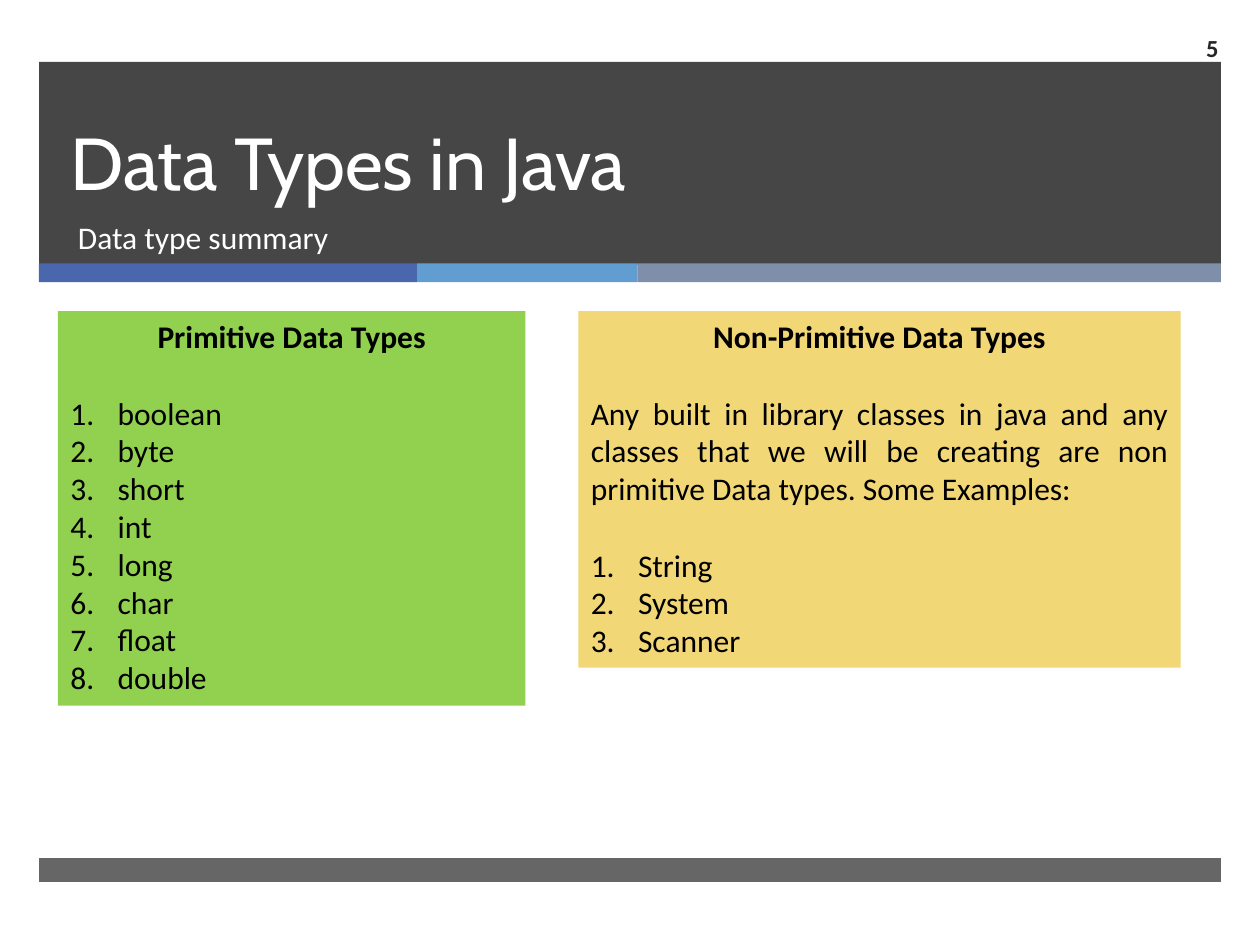
from lxml.etree import SubElement
from pptx import Presentation
from pptx.dml.color import RGBColor
from pptx.enum.shapes import MSO_SHAPE
from pptx.enum.text import MSO_ANCHOR, PP_ALIGN
from pptx.oxml.ns import qn
from pptx.util import Inches, Pt

WHITE, BLACK, DARK = "FFFFFF", "000000", "262626"
LEFT, WIDTH = 0.31, 9.38
LINE = 22  # height of one 18 pt text line, in points

# top, height, opacity in percent
DARK_BANDS = [(0.49, 1.61, 85), (6.81, 0.19, 70)]
STRIPES = [(3, "4A66AC"), (1.75, "629DD1"), (4.63, "7F8FA9")]

# text, box, style
LABELS = [
    ("Data Types in Java", (0.46, 0.49, 8.54, 1.19),
     dict(size=42, color=WHITE, font="Cabin", anchor=MSO_ANCHOR.BOTTOM, spacing=46)),
    ("Data type summary", (0.52, 1.68, 8.48, 0.53), dict(size=18, color=WHITE)),
    ("5", (9.08, 0.18, 0.69, 0.39),
     dict(size=14, color=DARK, bold=True, align=PP_ALIGN.RIGHT, anchor=MSO_ANCHOR.MIDDLE)),
]

PANELS = [
    dict(box=(0.46, 2.47, 3.71, 3.13), fill="92D050", heading="Primitive Data Types",
         intro="", align=PP_ALIGN.LEFT,
         types=["boolean", "byte", "short", "int", "long", "char", "float", "double"]),
    dict(box=(4.59, 2.47, 4.78, 2.83), fill="F2D776", heading="Non-Primitive Data Types",
         intro="Any built in library classes in java and any classes that we will be "
               "creating are non primitive Data types. Some Examples:",
         align=PP_ALIGN.JUSTIFY, types=["String", "System", "Scanner"]),
]


def rgb(color):
    return RGBColor.from_string(color)


def add_rect(slide, box, color, opacity=100):
    rect = slide.shapes.add_shape(MSO_SHAPE.RECTANGLE, *map(Inches, box))
    rect.shadow.inherit = False
    rect.fill.solid()
    rect.fill.fore_color.rgb = rgb(color)
    rect.line.fill.background()
    if opacity < 100:
        tint = rect.fill._xPr.find(qn("a:solidFill"))[0]
        SubElement(tint, qn("a:alpha"), val=str(opacity * 1000))
    return rect


def write(paragraph, text, size=18, color=BLACK, font="Calibri", bold=False,
          align=PP_ALIGN.LEFT):
    paragraph.text = text
    paragraph.alignment = align
    style = paragraph.font
    style.size, style.name, style.bold = Pt(size), font, bold
    style.color.rgb = rgb(color)


def add_label(slide, text, box, anchor=MSO_ANCHOR.TOP, spacing=None, **style):
    frame = slide.shapes.add_textbox(*map(Inches, box)).text_frame
    frame.word_wrap = True
    frame.vertical_anchor = anchor
    write(frame.paragraphs[0], text, **style)
    if spacing:
        frame.paragraphs[0].line_spacing = Pt(spacing)


def number(paragraph):
    """Make the paragraph an item of a numbered list."""
    props = paragraph._p.get_or_add_pPr()
    indent = Inches(0.375)
    props.set("marL", str(indent))
    props.set("indent", str(-indent))
    bullet = SubElement(props, qn("a:buAutoNum"), type="arabicPeriod")
    default_run = props.find(qn("a:defRPr"))
    if default_run is not None:
        default_run.addprevious(bullet)


def add_panel(slide, box, fill, heading, intro, align, types):
    frame = add_rect(slide, box, fill).text_frame
    frame.word_wrap = True
    frame.vertical_anchor = MSO_ANCHOR.TOP
    write(frame.paragraphs[0], heading, bold=True, align=PP_ALIGN.CENTER)
    if intro:
        paragraph = frame.add_paragraph()
        write(paragraph, intro, align=align)
        paragraph.space_before = Pt(LINE)
    for index, name in enumerate(types):
        item = frame.add_paragraph()
        write(item, name, align=align)
        item.space_before = Pt(0 if index else LINE)
        number(item)


def main():
    deck = Presentation()
    deck.slide_width, deck.slide_height = Inches(10), Inches(7.5)
    slide = deck.slides.add_slide(deck.slide_layouts[6])

    for top, height, opacity in DARK_BANDS:
        add_rect(slide, (LEFT, top, WIDTH, height), DARK, opacity)
    left = LEFT
    for width, color in STRIPES:
        add_rect(slide, (left, 2.09, width, 0.15), color)
        left += width
    for text, box, style in LABELS:
        add_label(slide, text, box, **style)
    for panel in PANELS:
        add_panel(slide, **panel)

    deck.save("out.pptx")


if __name__ == "__main__":
    main()
